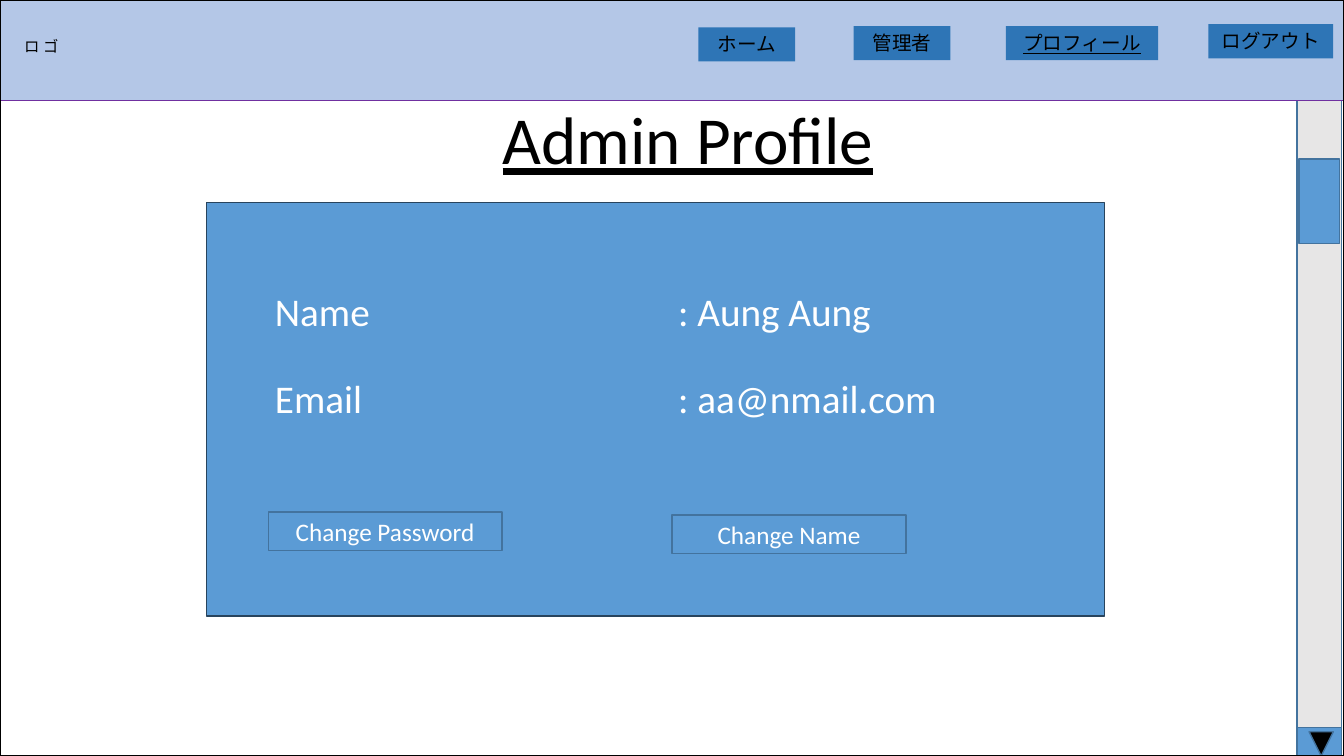
from dataclasses import dataclass

from lxml import etree
from pptx import Presentation
from pptx.dml import color
from pptx.enum import shapes, text
from pptx.oxml import ns
from pptx.util import Cm, Pt


@dataclass(frozen=True)
class Theme:
    font: str = "Calibri"
    black: str = "000000"
    white: str = "FFFFFF"
    blue: str = "5B9BD5"
    edge: str = "43739E"
    panel_edge: str = "28445D"
    track: str = "E7E6E6"
    header: str = "B4C7E7"
    header_edge: str = "7030A0"
    nav: str = "2E75B6"
    title: int = 48
    field: int = 28
    button: int = 18
    link: int = 14
    logo: int = 11


theme = Theme()
RECT = shapes.MSO_SHAPE.RECTANGLE
TRIANGLE = shapes.MSO_SHAPE.ISOSCELES_TRIANGLE

prs = Presentation()
prs.slide_width, prs.slide_height = Cm(33.87), Cm(19.05)
s = prs.slides.add_slide(prs.slide_layouts[6])


def add_box(x, y, w, h, fill=None, line=None, kind=RECT):
    sp = s.shapes.add_shape(kind, Cm(x), Cm(y), Cm(w), Cm(h))
    sp.shadow.inherit = False
    if fill:
        sp.fill.solid()
        sp.fill.fore_color.rgb = color.RGBColor.from_string(fill)
    else:
        sp.fill.background()
    if line:
        sp.line.color.rgb = color.RGBColor.from_string(line)
        sp.line.width = Pt(1)
    else:
        sp.line.fill.background()
    return sp


def write(sp, content, size, rgb=theme.black, align=text.PP_ALIGN.CENTER,
          anchor=text.MSO_ANCHOR.TOP, underline=False, tab=None):
    tf = sp.text_frame
    tf.word_wrap = True
    tf.vertical_anchor = anchor
    p = tf.paragraphs[0]
    p.alignment = align
    if tab:
        tabs = etree.SubElement(p._p.get_or_add_pPr(), ns.qn("a:tabLst"))
        etree.SubElement(tabs, ns.qn("a:tab"), pos=str(Cm(tab)), algn="l")
    r = p.add_run()
    r.text = content
    r.font.name = theme.font
    r.font.size = Pt(size)
    r.font.underline = underline
    r.font.color.rgb = color.RGBColor.from_string(rgb)


add_box(5.21, 5.11, 22.63, 10.41, theme.blue, theme.panel_edge)

fields = [("Name", "Aung Aung"), ("Email", "aa@nmail.com")]
for i, (label, value) in enumerate(fields):
    sp = s.shapes.add_textbox(Cm(6.68), Cm(7.11 + 2.21 * i), Cm(21.16), Cm(1.45))
    write(sp, f"{label}\t: {value}", theme.field, theme.white,
          align=text.PP_ALIGN.LEFT, tab=10.16)

add_box(32.69, 0, 1.12, 19.05, theme.track, theme.edge)
add_box(32.69, 18.34, 1.12, 0.71, theme.blue, theme.edge)
arrow = add_box(32.99, 18.44, 0.61, 0.61, theme.black, theme.edge, TRIANGLE)
arrow.rotation = 180
add_box(32.74, 4.01, 1.02, 2.13, theme.blue, theme.edge)

sp = s.shapes.add_textbox(Cm(11.91), Cm(2.34), Cm(10.85), Cm(2.31))
write(sp, "Admin Profile", theme.title, underline=True)

for label, x, y in [("Change Password", 6.76, 12.9), ("Change Name", 16.94, 12.98)]:
    sp = add_box(x, y, 5.89, 0.97, theme.blue, theme.edge)
    write(sp, label, theme.button, theme.white, anchor=text.MSO_ANCHOR.MIDDLE)

add_box(0, -0.15, 33.87, 2.69, theme.header, theme.header_edge)
sp = s.shapes.add_textbox(Cm(0.36), Cm(0.81), Cm(2.46), Cm(1.09))
write(sp, "ロ ゴ", theme.logo, align=text.PP_ALIGN.LEFT)

links = [
    ("ホーム", 17.6, 0.69, 2.44, False),
    ("管理者", 21.51, 0.66, 2.44, False),
    ("プロフィール", 25.35, 0.66, 3.84, True),
    ("ログアウト", 30.45, 0.61, 3.15, False),
]
for label, x, y, w, current in links:
    write(add_box(x, y, w, 0.86, theme.nav), label, theme.link, underline=current)

add_box(0, 0, 33.87, 19.05, line=theme.black)

prs.save("out.pptx")
